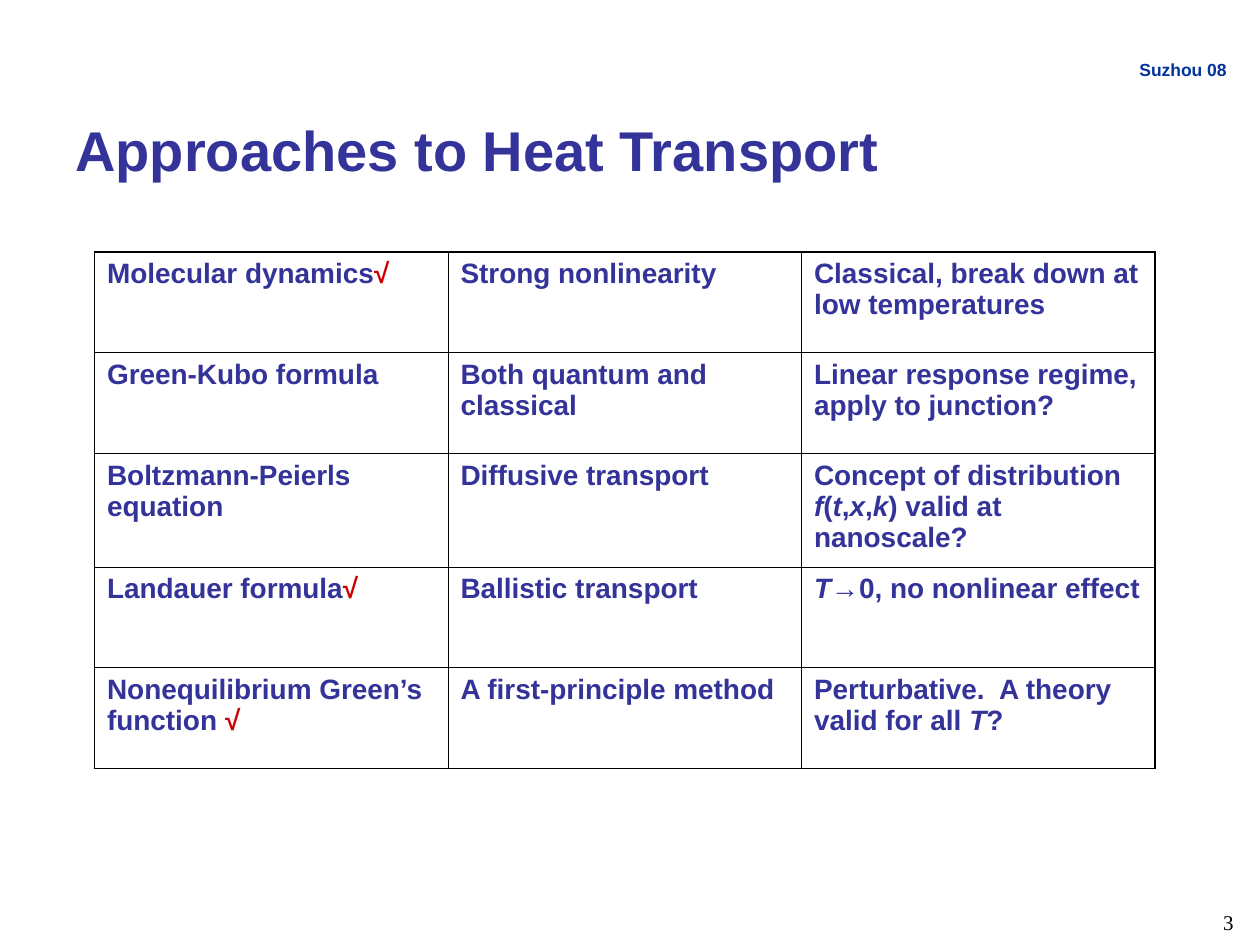
from dataclasses import dataclass

from lxml import etree
from pptx import Presentation
from pptx.dml.color import RGBColor
from pptx.enum import text
from pptx.oxml import ns
from pptx.util import Pt


@dataclass(frozen=True)
class Theme:
    ink: str = "333399"
    check: str = "CC0000"
    venue: str = "003399"
    black: str = "000000"
    sans: str = "Arial"
    serif: str = "Times New Roman"
    title_size: float = 32
    cell_size: float = 16
    number_size: float = 12
    venue_size: float = 10
    outer_line: float = 1.08
    inner_line: float = 0.45


THEME = Theme()


@dataclass(frozen=True)
class Span:
    words: str
    size: float = THEME.cell_size
    color: str = THEME.ink
    font: str = THEME.sans
    bold: bool = True
    italic: bool = False


@dataclass(frozen=True)
class Label:
    left: float
    top: float
    width: float
    height: float
    span: Span
    align: text.PP_ALIGN = text.PP_ALIGN.LEFT
    anchor: text.MSO_ANCHOR = text.MSO_ANCHOR.TOP


def math(words: str) -> Span:
    return Span(words, italic=True)


CHECK = Span("√", color=THEME.check)

# Text outside the table
LABELS = [
    Label(12, 30, 696, 20, Span("Suzhou 08", THEME.venue_size, THEME.venue),
          align=text.PP_ALIGN.RIGHT),
    Label(36, 54, 648, 62, Span("Approaches to Heat Transport", THEME.title_size),
          anchor=text.MSO_ANCHOR.MIDDLE),
    Label(546, 516, 166, 40,
          Span("3", THEME.number_size, THEME.black, THEME.serif, bold=False),
          align=text.PP_ALIGN.RIGHT),
]

# Table rows: approach, strength, limitation
APPROACHES = [
    ([Span("Molecular dynamics"), CHECK],
     [Span("Strong nonlinearity")],
     [Span("Classical, break down at low temperatures")]),
    ([Span("Green-Kubo formula")],
     [Span("Both quantum and classical")],
     [Span("Linear response regime, apply to junction?")]),
    ([Span("Boltzmann-Peierls equation")],
     [Span("Diffusive transport")],
     [Span("Concept of distribution "), math("f"), Span("("), math("t"), Span(","),
      math("x"), Span(","), math("k"), Span(") valid at nanoscale?")]),
    ([Span("Landauer formula"), CHECK],
     [Span("Ballistic transport")],
     [math("T"), Span("→0, no nonlinear effect")]),
    ([Span("Nonequilibrium Green’s function "), CHECK],
     [Span("A first-principle method")],
     [Span("Perturbative.  A theory valid for all "), math("T"), Span("?")]),
]
ROW_HEIGHTS = [57.6, 57.6, 64.8, 57.6, 57.6]
TABLE_LEFT, TABLE_TOP, COLUMN_WIDTH = 54, 144, 202


def add_span(para, span: Span) -> None:
    run = para.add_run()
    run.text = span.words
    run.font.name = span.font
    run.font.size = Pt(span.size)
    run.font.bold = span.bold
    run.font.italic = span.italic
    run.font.color.rgb = RGBColor.from_string(span.color)


def add_label(page, label: Label) -> None:
    box = page.shapes.add_textbox(Pt(label.left), Pt(label.top),
                                  Pt(label.width), Pt(label.height))
    frame = box.text_frame
    frame.word_wrap = True
    frame.vertical_anchor = label.anchor
    para = frame.paragraphs[0]
    para.alignment = label.align
    add_span(para, label.span)


def set_border(cell, side: str, width: float) -> None:
    properties = cell._tc.get_or_add_tcPr()
    line = etree.SubElement(properties, ns.qn(f"a:{side}"), w=str(Pt(width)))
    fill = etree.SubElement(line, ns.qn("a:solidFill"))
    etree.SubElement(fill, ns.qn("a:srgbClr"), val=THEME.black)


def add_approach_table(page) -> None:
    row_count, column_count = len(APPROACHES), len(APPROACHES[0])
    table = page.shapes.add_table(
        row_count, column_count, Pt(TABLE_LEFT), Pt(TABLE_TOP),
        Pt(COLUMN_WIDTH * column_count), Pt(sum(ROW_HEIGHTS))).table
    table.first_row = table.horz_banding = False
    for column in table.columns:
        column.width = Pt(COLUMN_WIDTH)
    for row, height in zip(table.rows, ROW_HEIGHTS):
        row.height = Pt(height)

    for r, approach in enumerate(APPROACHES):
        for c, spans in enumerate(approach):
            cell = table.cell(r, c)
            # Thick lines on the outer edge, thin ones inside
            edges = {"lnL": c == 0, "lnR": c == column_count - 1,
                     "lnT": r == 0, "lnB": r == row_count - 1}
            for side, is_outer in edges.items():
                set_border(cell, side, THEME.outer_line if is_outer else THEME.inner_line)
            cell.fill.background()
            para = cell.text_frame.paragraphs[0]
            for span in spans:
                add_span(para, span)


def main() -> None:
    deck = Presentation()
    deck.slide_width, deck.slide_height = Pt(720), Pt(540)
    page = deck.slides.add_slide(deck.slide_layouts[6])
    for label in LABELS:
        add_label(page, label)
    add_approach_table(page)
    deck.save("out.pptx")


if __name__ == "__main__":
    main()
